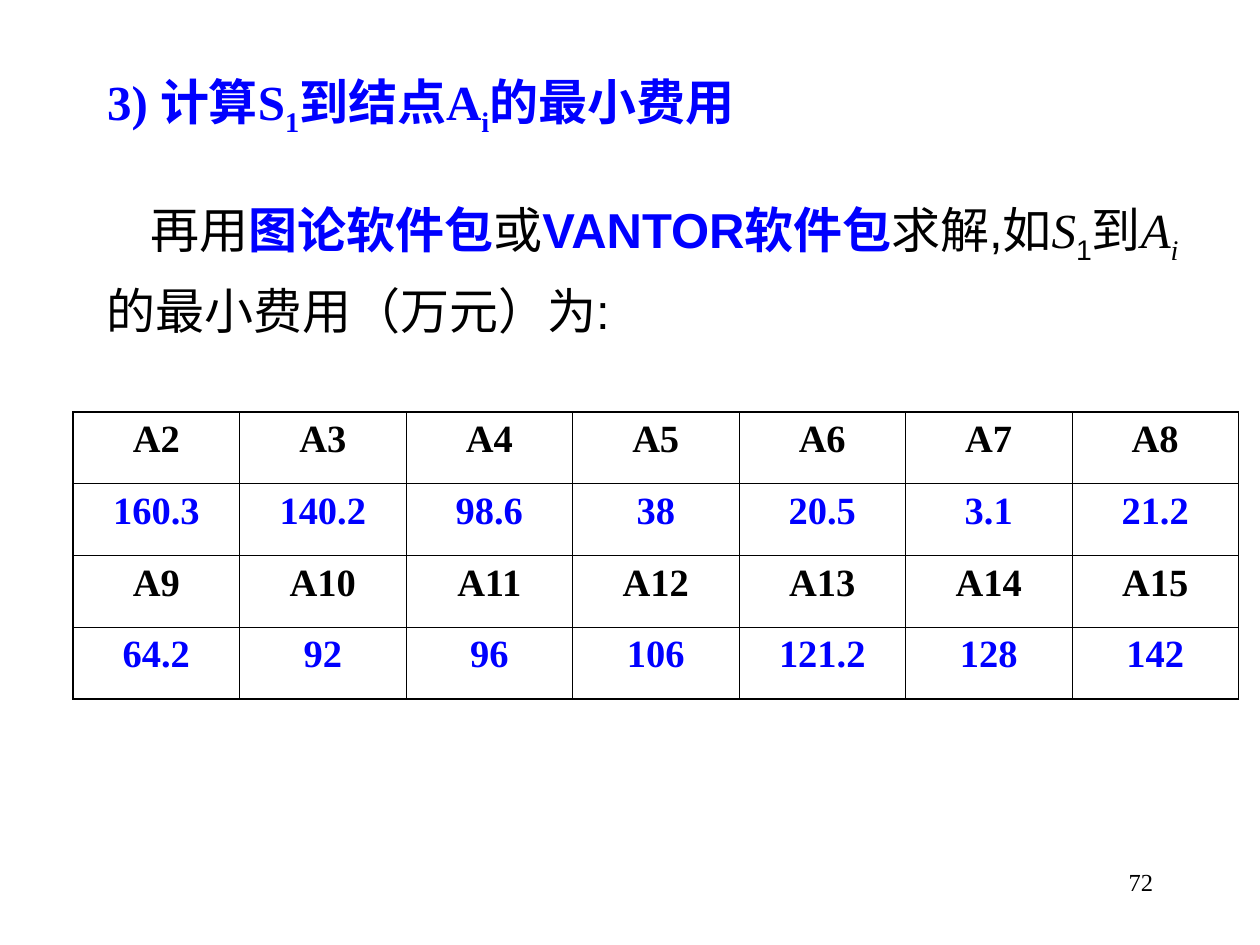
"""Build the slide listing the minimum cost from S1 to each node Ai."""
import dataclasses

import lxml.etree
import pptx
import pptx.dml.color
import pptx.enum.text
import pptx.oxml.ns
import pptx.util

Inches = pptx.util.Inches
Pt = pptx.util.Pt
Align = pptx.enum.text.PP_ALIGN
Anchor = pptx.enum.text.MSO_ANCHOR


@dataclasses.dataclass(frozen=True)
class Theme:
    sans: str = "Arial"
    serif: str = "Times New Roman"
    ink: str = "000000"
    accent: str = "0000FF"
    text_size: int = 28
    table_size: int = 22
    number_size: int = 14
    outer_line: float = 1.08
    inner_line: float = 0.45


THEME = Theme()
HEADING = {"font": THEME.serif, "color": THEME.accent, "bold": True}
STRONG = {"color": THEME.accent, "bold": True}
SYMBOL = {"font": THEME.serif, "italic": True}

TITLE_RUNS = [
    ("3) 计算S", HEADING),
    ("1", {**HEADING, "subscript": True}),
    ("到结点A", HEADING),
    ("i", {**HEADING, "subscript": True}),
    ("的最小费用", HEADING),
]
BODY_RUNS = [
    ("再用", {}),
    ("图论软件包", STRONG),
    ("或", {}),
    ("VANTOR软件包", STRONG),
    ("求解,如", {}),
    ("S", SYMBOL),
    ("1", {"subscript": True}),
    ("到", {}),
    ("A", SYMBOL),
    ("i", {**SYMBOL, "subscript": True}),
    ("的最小费用（万元）为:", {}),
]
COST_ROWS = [
    ["A2", "A3", "A4", "A5", "A6", "A7", "A8"],
    ["160.3", "140.2", "98.6", "38", "20.5", "3.1", "21.2"],
    ["A9", "A10", "A11", "A12", "A13", "A14", "A15"],
    ["64.2", "92", "96", "106", "121.2", "128", "142"],
]
PAGE_NUMBER = "72"

TITLE_BOX = (0.75, 0.52, 6.22, 0.62)
BODY_BOX = (0.75, 1.4, 8.83, 1.35)
TABLE_BOX = (0.58, 3.27, 9.25, 2.28)
NUMBER_BOX = (7.17, 6.83, 2.08, 0.5)


def add_run(paragraph, text, size=THEME.text_size, font=THEME.sans,
            color=THEME.ink, bold=False, italic=False, subscript=False):
    run = paragraph.add_run()
    run.text = text
    run.font.size = Pt(size)
    run.font.name = font
    run.font.bold = bold
    run.font.italic = italic
    run.font.color.rgb = pptx.dml.color.RGBColor.from_string(color)
    if subscript:
        run.font._element.set("baseline", "-25000")


def add_runs(paragraph, runs):
    for text, style in runs:
        add_run(paragraph, text, **style)


def add_text_box(slide, box):
    frame = slide.shapes.add_textbox(*map(Inches, box)).text_frame
    frame.word_wrap = True
    return frame.paragraphs[0]


def add_title(slide):
    title = slide.shapes.title
    title.left, title.top, title.width, title.height = map(Inches, TITLE_BOX)
    frame = title.text_frame
    frame.auto_size = pptx.enum.text.MSO_AUTO_SIZE.NONE
    frame.vertical_anchor = Anchor.MIDDLE
    paragraph = frame.paragraphs[0]
    paragraph.alignment = Align.LEFT
    add_runs(paragraph, TITLE_RUNS)


def add_body(slide):
    paragraph = add_text_box(slide, BODY_BOX)
    paragraph.line_spacing = 1.25
    paragraph._p.get_or_add_pPr().set("indent", str(Inches(0.35)))
    add_runs(paragraph, BODY_RUNS)


def set_borders(cell, outer_sides):
    properties = cell._tc.get_or_add_tcPr()
    for position, side in enumerate(("lnL", "lnR", "lnT", "lnB")):
        width = THEME.outer_line if side in outer_sides else THEME.inner_line
        line = lxml.etree.Element(pptx.oxml.ns.qn(f"a:{side}"), w=str(Pt(width)))
        fill = lxml.etree.SubElement(line, pptx.oxml.ns.qn("a:solidFill"))
        lxml.etree.SubElement(fill, pptx.oxml.ns.qn("a:srgbClr"), val=THEME.ink)
        properties.insert(position, line)


def add_cost_table(slide):
    row_count, column_count = len(COST_ROWS), len(COST_ROWS[0])
    table = slide.shapes.add_table(
        row_count, column_count, *map(Inches, TABLE_BOX)).table
    table.first_row = table.horz_banding = False
    for row_index, values in enumerate(COST_ROWS):
        color = THEME.accent if row_index % 2 else THEME.ink
        for column_index, value in enumerate(values):
            cell = table.cell(row_index, column_index)
            cell.fill.background()
            edges = {"lnL": column_index == 0, "lnR": column_index == column_count - 1,
                     "lnT": row_index == 0, "lnB": row_index == row_count - 1}
            set_borders(cell, [side for side, outer in edges.items() if outer])
            paragraph = cell.text_frame.paragraphs[0]
            paragraph.alignment = Align.CENTER
            add_run(paragraph, value, THEME.table_size, THEME.serif, color, bold=True)


def add_page_number(slide):
    paragraph = add_text_box(slide, NUMBER_BOX)
    paragraph.alignment = Align.RIGHT
    add_run(paragraph, PAGE_NUMBER, THEME.number_size, THEME.serif)


def main():
    presentation = pptx.Presentation()
    presentation.slide_width = Inches(10)
    presentation.slide_height = Inches(7.5)
    slide = presentation.slides.add_slide(presentation.slide_layouts[5])
    add_title(slide)
    add_body(slide)
    add_cost_table(slide)
    add_page_number(slide)
    presentation.save("out.pptx")


if __name__ == "__main__":
    main()
